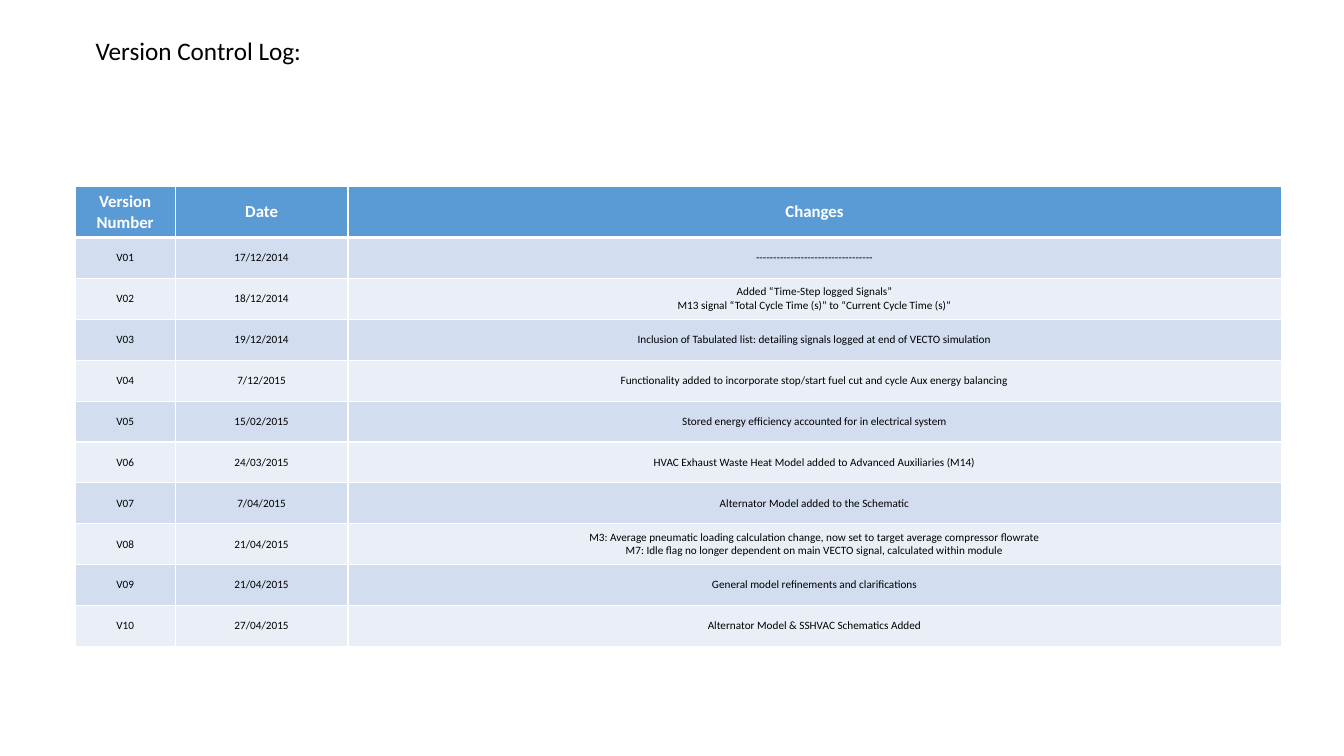
from lxml.etree import SubElement
from pptx import Presentation
from pptx.dml.color import RGBColor
from pptx.enum.text import MSO_ANCHOR, PP_ALIGN
from pptx.oxml.ns import qn
from pptx.util import Cm, Pt

TITLE = "Version Control Log:"
HEADER = ("Version Number", "Date", "Changes")
VERSIONS = [
    ("V01", "17/12/2014", "----------------------------------"),
    ("V02", "18/12/2014", "Added “Time-Step logged Signals”\n"
     "M13 signal “Total Cycle Time (s)” to “Current Cycle Time (s)”"),
    ("V03", "19/12/2014", "Inclusion of Tabulated list: detailing signals logged "
     "at end of VECTO simulation"),
    ("V04", "7/12/2015", "Functionality added to incorporate stop/start fuel cut "
     "and cycle Aux energy balancing"),
    ("V05", "15/02/2015", "Stored energy efficiency accounted for in electrical system"),
    ("V06", "24/03/2015", "HVAC Exhaust Waste Heat Model added to Advanced "
     "Auxiliaries (M14)"),
    ("V07", "7/04/2015", "Alternator Model added to the Schematic"),
    ("V08", "21/04/2015", "M3: Average pneumatic loading calculation change, "
     "now set to target average compressor flowrate\n"
     "M7: Idle flag no longer dependent on main VECTO signal, "
     "calculated within module"),
    ("V09", "21/04/2015", "General model refinements and clarifications"),
    ("V10", "27/04/2015", "Alternator Model & SSHVAC Schematics Added"),
]

FONT = "Calibri"
WHITE = RGBColor(0xFF, 0xFF, 0xFF)
BLACK = RGBColor(0x00, 0x00, 0x00)
HEADER_BLUE = RGBColor(0x5B, 0x9B, 0xD5)
BANDS = (RGBColor(0xEA, 0xEF, 0xF7), RGBColor(0xD2, 0xDE, 0xEF))

LEFT, TOP = 1.89, 4.7
COL_WIDTHS = (2.53, 4.35, 23.52)
HEADER_HEIGHT, ROW_HEIGHT = 1.25, 1.03
THIN, THICK = 1, 3


def add_run(p, text, size, color, bold=False):
    r = p.add_run()
    r.text = text
    r.font.name, r.font.size, r.font.bold = FONT, Pt(size), bold
    r.font.color.rgb = color


def set_borders(cell, top, bottom):
    tc_pr = cell._tc.get_or_add_tcPr()
    for side, width in (("L", THIN), ("R", THIN), ("T", top), ("B", bottom)):
        ln = SubElement(tc_pr, qn("a:ln" + side), w=str(Pt(width)))
        fill = SubElement(ln, qn("a:solidFill"))
        SubElement(fill, qn("a:srgbClr"), val=str(WHITE))


def fill_cell(cell, text, row):
    is_header = row == 0
    set_borders(cell, THICK if row == 1 else THIN, THICK if is_header else THIN)
    cell.fill.solid()
    cell.fill.fore_color.rgb = HEADER_BLUE if is_header else BANDS[row % 2]
    cell.vertical_anchor = MSO_ANCHOR.MIDDLE
    tf = cell.text_frame
    for i, line in enumerate(text.split("\n")):
        p = tf.add_paragraph() if i else tf.paragraphs[0]
        p.alignment = PP_ALIGN.CENTER
        if is_header:
            add_run(p, line, 12, WHITE, bold=True)
        else:
            add_run(p, line, 8, BLACK)


def main():
    prs = Presentation()
    prs.slide_width, prs.slide_height = Cm(33.87), Cm(19.05)
    s = prs.slides.add_slide(prs.slide_layouts[6])

    rows = [HEADER] + VERSIONS
    heights = [HEADER_HEIGHT] + [ROW_HEIGHT] * len(VERSIONS)
    table = s.shapes.add_table(len(rows), len(HEADER), Cm(LEFT), Cm(TOP),
                               Cm(sum(COL_WIDTHS)), Cm(sum(heights))).table
    for column, width in zip(table.columns, COL_WIDTHS):
        column.width = Cm(width)
    for i, (values, height) in enumerate(zip(rows, heights)):
        table.rows[i].height = Cm(height)
        for j, text in enumerate(values):
            fill_cell(table.cell(i, j), text, i)

    title = s.shapes.add_textbox(Cm(2.16), Cm(0.77), Cm(5.74), Cm(1.03))
    title.text_frame.word_wrap = False
    add_run(title.text_frame.paragraphs[0], TITLE, 18, BLACK)

    prs.save("out.pptx")


if __name__ == "__main__":
    main()
